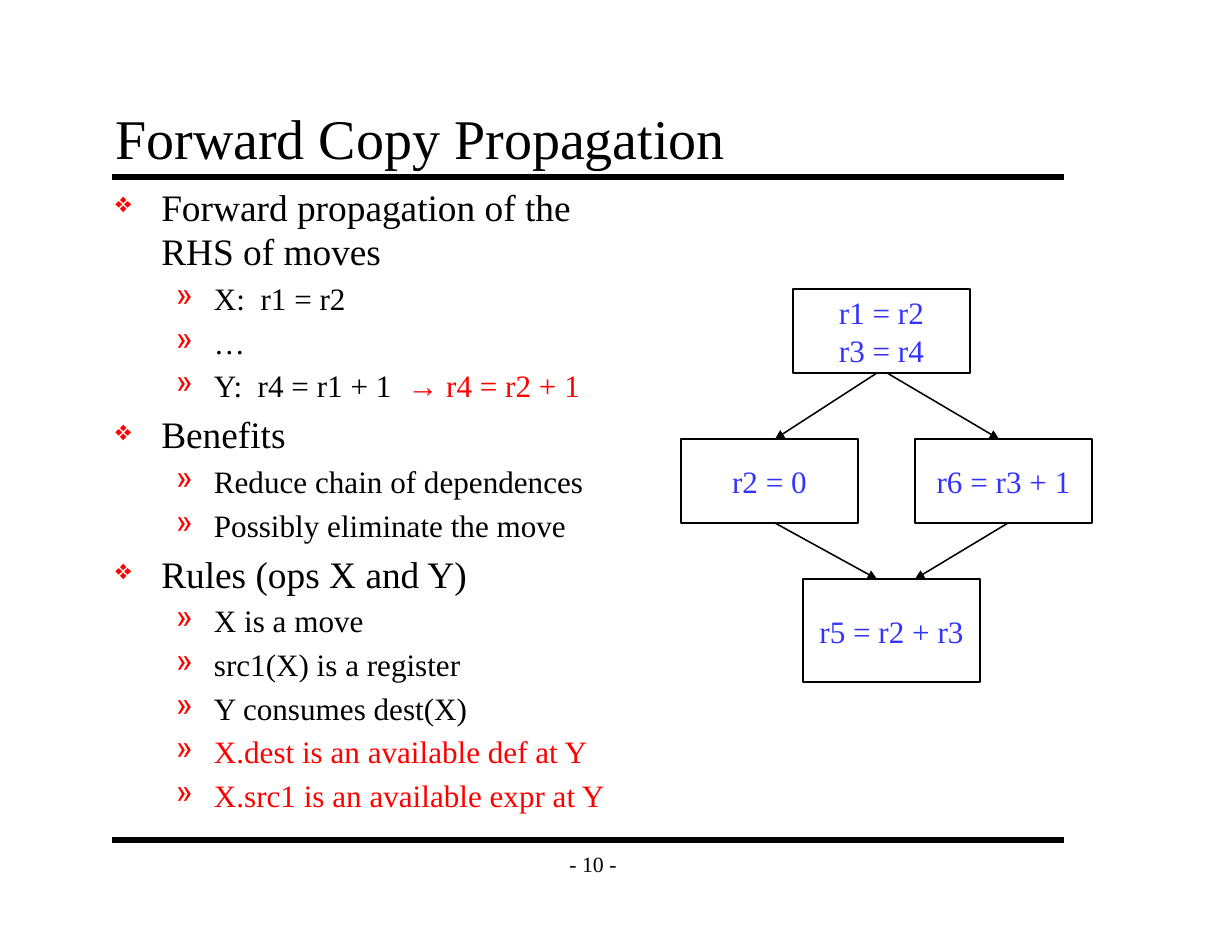
from dataclasses import dataclass

from lxml import etree
from pptx import Presentation
from pptx.dml.color import RGBColor
from pptx.enum.shapes import MSO_CONNECTOR, MSO_SHAPE
from pptx.enum.text import MSO_ANCHOR, PP_ALIGN
from pptx.oxml.ns import qn
from pptx.util import Inches, Pt

RECT = MSO_SHAPE.RECTANGLE
LINE = MSO_CONNECTOR.STRAIGHT
TOP, MID, LOW = MSO_ANCHOR.TOP, MSO_ANCHOR.MIDDLE, MSO_ANCHOR.BOTTOM
LEFT, MIDST = PP_ALIGN.LEFT, PP_ALIGN.CENTER


@dataclass(frozen=True)
class Theme:
    font: str = "Times New Roman"
    ink: str = "000000"
    red: str = "FF0000"
    blue: str = "3333FF"
    title: int = 36
    head: int = 24
    item: int = 20
    page: int = 14
    rule: int = 4
    thin: int = 1


T = Theme()
# Per level: left indent, hanging indent, bullet, bullet size in percent, text size
LEVELS = [(0.41, 0.41, "❖", 75, T.head), (0.88, 0.34, "»", 100, T.item)]
# Level, then runs of text and colour
POINTS = [
    (0, [("Forward propagation of the RHS of moves", T.ink)]),
    (1, [("X:  r1 = r2", T.ink)]),
    (1, [("…", T.ink)]),
    (1, [("Y:  r4 = r1 + 1  ", T.ink), ("→ r4 = r2 + 1", T.red)]),
    (0, [("Benefits", T.ink)]),
    (1, [("Reduce chain of dependences", T.ink)]),
    (1, [("Possibly eliminate the move", T.ink)]),
    (0, [("Rules (ops X and Y)", T.ink)]),
    (1, [("X is a move", T.ink)]),
    (1, [("src1(X) is a register", T.ink)]),
    (1, [("Y consumes dest(X)", T.ink)]),
    (1, [("X.dest is an available def at Y", T.red)]),
    (1, [("X.src1 is an available expr at Y", T.red)]),
]
# Blocks and edges, relative to the graph's corner
BLOCKS = [
    (1, 0, 0.75, ["r1 = r2", "r3 = r4"]),
    (0, 1.34, 0.75, ["r2 = 0"]),
    (2.09, 1.34, 0.75, ["r6 = r3 + 1"]),
    (1.09, 2.59, 0.92, ["r5 = r2 + r3"]),
]
EDGES = [
    (1.75, 0.75, 0.84, 1.34),
    (1.84, 0.75, 2.84, 1.34),
    (0.84, 2.09, 1.75, 2.59),
    (2.92, 2.09, 2.09, 2.59),
]


def rgb(code):
    return RGBColor.from_string(code)


def frame(shape, anchor=TOP, wrap=True):
    body = shape.text_frame
    body.word_wrap = wrap
    body.vertical_anchor = anchor
    body.margin_left = body.margin_right = Inches(0.11)
    body.margin_top = body.margin_bottom = Inches(0.06)
    return body


def write(para, text, size=T.item, color=T.ink, align=LEFT):
    para.alignment = align
    run = para.add_run()
    run.text = text
    run.font.name = T.font
    run.font.size = Pt(size)
    run.font.color.rgb = rgb(color)


def label(slide, box, text, anchor=TOP, wrap=True, **style):
    area = slide.shapes.add_textbox(*map(Inches, box))
    write(frame(area, anchor, wrap).paragraphs[0], text, **style)


def link(slide, x1, y1, x2, y2, width=T.thin, arrow=False):
    line = slide.shapes.add_connector(LINE, *map(Inches, (x1, y1, x2, y2)))
    line.line.color.rgb = rgb(T.ink)
    line.line.width = Pt(width)
    if arrow:
        etree.SubElement(line.line._get_or_add_ln(), qn("a:tailEnd"), type="triangle")
    etree.SubElement(line._element.spPr, qn("a:effectLst"))


def bullet(para, level):
    left, hang, mark, scale, _ = LEVELS[level]
    para.level = level
    props = para._p.get_or_add_pPr()
    props.set("marL", str(Inches(left)))
    props.set("indent", str(-Inches(hang)))
    color = etree.SubElement(props, qn("a:buClr"))
    etree.SubElement(color, qn("a:srgbClr"), val=T.red)
    etree.SubElement(props, qn("a:buSzPct"), val=str(scale * 1000))
    etree.SubElement(props, qn("a:buChar"), char=mark)


def outline(slide, box):
    body = frame(slide.shapes.add_textbox(*map(Inches, box)))
    for i, (level, runs) in enumerate(POINTS):
        para = body.add_paragraph() if i else body.paragraphs[0]
        size = LEVELS[level][-1]
        bullet(para, level)
        if i:
            para.space_before = Pt(size * 0.2)
        for text, color in runs:
            write(para, text, size=size, color=color)


def block(slide, box, lines):
    shape = slide.shapes.add_shape(RECT, *map(Inches, box))
    shape.shadow.inherit = False
    shape.fill.background()
    shape.line.color.rgb = rgb(T.ink)
    shape.line.width = Pt(T.thin)
    body = frame(shape, MID, wrap=False)
    for i, text in enumerate(lines):
        para = body.add_paragraph() if i else body.paragraphs[0]
        write(para, text, color=T.blue, align=MIDST)


def graph(slide, x, y):
    """Draw the control flow graph with its corner at x, y."""
    for dx, dy, high, lines in BLOCKS:
        block(slide, (x + dx, y + dy, 1.58, high), lines)
    for x1, y1, x2, y2 in EDGES:
        link(slide, x + x1, y + y1, x + x2, y + y2, arrow=True)


def main():
    deck = Presentation()
    deck.slide_width, deck.slide_height = Inches(11), Inches(8.5)
    slide = deck.slides.add_slide(deck.slide_layouts[6])
    for y in (1.58, 7.5):
        link(slide, 1, y, 9.5, y, width=T.rule)
    label(slide, (4.92, 7.5, 0.75, 0.42), "- 10 -", anchor=MID, wrap=False,
          size=T.page, align=MIDST)
    label(slide, (0.92, 0.91, 8.5, 0.67), "Forward Copy Propagation", anchor=LOW,
          size=T.title)
    outline(slide, (0.92, 1.58, 4.92, 5.92))
    graph(slide, 6.08, 2.58)
    deck.save("out.pptx")


if __name__ == "__main__":
    main()
